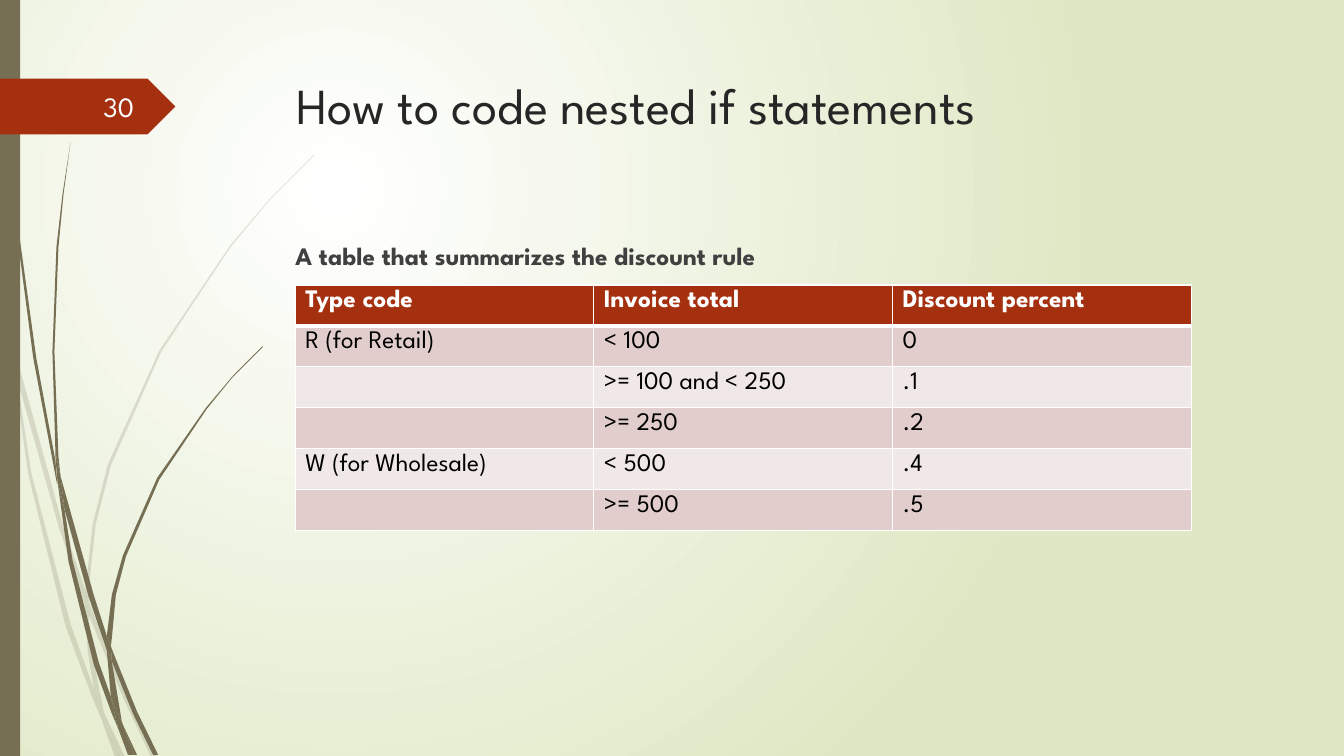
from lxml import etree
from pptx import Presentation
from pptx import util as u
from pptx.dml.color import RGBColor
from pptx.enum import shapes, text
from pptx.oxml.ns import qn

FONT = "League Spartan"
OLIVE, RUST, WHITE = "766F54", "A53010", "FFFFFF"
BANDS = ["E1CDCC", "F0E8E7"]
PAGE_W, PAGE_H = 33.87, 19.05

TITLE = "How to code nested if statements"
CAPTION = "A table that summarizes the discount rule"
PAGE_NUMBER = "30"
DISCOUNTS = [
    ("Type code", "Invoice total", "Discount percent"),
    ("R (for Retail)", "< 100", "0"),
    ("", ">= 100 and < 250", ".1"),
    ("", ">= 250", ".2"),
    ("W (for Wholesale)", "< 500", ".4"),
    ("", ">= 500", ".5"),
]

# Corners of the grass blade parts; one unit is UNIT centimetres
UNIT = 2.54
FAINT_GRASS = [
    [(.11, 3.5), (.09, 3.22), (0, 2.82), (0, 2.99), (.1, 3.44)],
    [(.58, 5.22), (.84, 5.99), (.85, 5.86), (.62, 5.2), (.14, 3.45), (.17, 3.76)],
    [(.92, 6.07), (.88, 5.96), (.88, 6.1), (1.23, 6.94), (1.5, 7.51), (1.55, 7.51),
     (1.27, 6.92)],
    [(1.19, 7.51), (1.24, 7.51), (1.05, 7.11)],
    [(.93, 6.83), (.7, 6.19), (.31, 4.69), (.17, 3.76), (.11, 3.5), (.28, 4.7),
     (.65, 6.21), (.92, 6.93), (1.01, 7.14), (.99, 7.07)],
    [(.84, 5.99), (.87, 6.46), (.93, 6.83), (.96, 6.92), (1.05, 7.11), (1.03, 7.06),
     (.91, 6.46), (.88, 6.1), (.88, 6.08)],
    [(.88, 5.84), (.95, 5.2), (1.1, 4.62), (1.6, 3.49), (2.29, 2.45), (2.68, 1.98),
     (3.12, 1.54), (3.12, 1.53), (2.68, 1.97), (2.28, 2.44), (1.58, 3.48),
     (1.07, 4.61), (.92, 5.2), (.85, 5.84), (.85, 5.86), (.88, 5.96)],
    [(1.01, 7.14), (1.14, 7.51), (1.19, 7.51)],
    [(.88, 6.08), (.88, 6.1), (.88, 5.96), (.85, 5.86), (.84, 5.99)],
    [(.96, 6.92), (.93, 6.83), (.99, 7.07), (1.01, 7.14), (1.19, 7.51), (1.05, 7.11)],
]
SOLID_GRASS = [
    [(.07, 1.1), (.17, 2.33), (.33, 3.55), (.56, 4.77), (.57, 4.81), (.55, 4.57),
     (.36, 3.55), (.19, 2.32), (.08, 1.09), (.04, 0), (.03, 0), (.04, .48)],
    [(.88, 5.92), (1.06, 6.45), (1.06, 6.31), (.93, 5.9), (.6, 4.72), (.64, 5.05)],
    [(1.13, 6.49), (1.1, 6.41), (1.11, 6.56), (1.32, 7.08), (1.52, 7.49), (1.57, 7.49),
     (1.36, 7.06)],
    [(1.1, 6.91), (.98, 6.57), (.72, 5.56), (.64, 5.05), (.57, 4.77), (.68, 5.57),
     (.93, 6.59), (1.11, 7.08), (1.17, 7.22), (1.16, 7.17)],
    [(.6, 4.72), (.58, 4.53), (.54, 3.49), (.58, 2.45), (.63, 1.93), (.7, 1.41),
     (.62, 1.93), (.56, 2.45), (.52, 3.49), (.55, 4.49)],
    [(1.33, 7.49), (1.36, 7.49), (1.22, 7.19)],
    [(.57, 4.77), (.64, 5.05), (.6, 4.72), (.55, 4.49), (.55, 4.53)],
    [(1.11, 6.33), (1.15, 5.9), (1.25, 5.52), (1.58, 4.76), (2.05, 4.06), (2.31, 3.74),
     (2.61, 3.44), (2.6, 3.44), (2.31, 3.73), (2.04, 4.05), (1.56, 4.74), (1.22, 5.51),
     (1.11, 5.9), (1.06, 6.31), (1.1, 6.41)],
    [(1.17, 7.22), (1.27, 7.49), (1.31, 7.49)],
    [(1.06, 6.45), (1.1, 6.91), (1.16, 7.06), (1.22, 7.19), (1.21, 7.16), (1.11, 6.56),
     (1.09, 6.51)],
    [(1.06, 6.45), (1.09, 6.51), (1.11, 6.56), (1.1, 6.41), (1.06, 6.31)],
    [(1.16, 7.06), (1.1, 6.91), (1.16, 7.17), (1.17, 7.22), (1.3, 7.49), (1.33, 7.49),
     (1.22, 7.19)],
]


def rgb(color):
    return RGBColor.from_string(color)


def style(paragraph, size, color, bold=False, align=text.PP_ALIGN.LEFT):
    paragraph.alignment = align
    paragraph.space_before = u.Pt(0)
    font = paragraph.font
    font.name, font.size, font.bold = FONT, u.Pt(size), bold
    font.color.rgb = rgb(color)


def place(shape, left, top, width, height):
    shape.left, shape.top = u.Cm(left), u.Cm(top)
    shape.width, shape.height = u.Cm(width), u.Cm(height)


def paint(shape, color, alpha=100):
    shape.shadow.inherit = False
    shape.line.fill.background()
    shape.fill.solid()
    shape.fill.fore_color.rgb = rgb(color)
    if alpha < 100:
        fill_color = shape._element.spPr.find(qn("a:solidFill"))[0]
        etree.SubElement(fill_color, qn("a:alpha"), val=str(alpha * 1000))


def draw_blade_part(slide, outline, alpha):
    corners = [(u.Cm(x * UNIT), u.Cm(y * UNIT)) for x, y in outline]
    builder = slide.shapes.build_freeform(*corners[0])
    builder.add_line_segments(corners[1:])
    paint(builder.convert_to_shape(), OLIVE, alpha)


def set_borders(cell, widths):
    """Draw white borders of the given points: left, right, top, bottom."""
    for side, width in zip("LRTB", widths):
        border = etree.SubElement(cell._tc.get_or_add_tcPr(), qn(f"a:ln{side}"),
                                  w=str(u.Pt(width)))
        fill = etree.SubElement(border, qn("a:solidFill"))
        etree.SubElement(fill, qn("a:srgbClr"), val=WHITE)


def set_background(slide):
    fill = slide.background.fill
    fill.gradient()
    for stop, color in zip(fill.gradient_stops, (WHITE, "DFE8C4")):
        stop.color.rgb = rgb(color)
    gradient = slide._element.xpath(".//p:bg//a:gradFill")[0]
    gradient.remove(gradient.find(qn("a:lin")))
    circle = etree.SubElement(gradient, qn("a:path"), path="circle")
    etree.SubElement(circle, qn("a:fillToRect"),
                     l="50000", t="50000", r="100000", b="100000")


def add_heading(slide):
    title, caption = slide.shapes.title, slide.placeholders[1]
    place(title, 7.21, 1.73, 24.77, 3.56)
    place(caption, 7.19, 5.92, 24.77, 10.49)
    for holder, words in ((title, TITLE), (caption, CAPTION)):
        frame = holder.text_frame
        frame.text = words
        frame.vertical_anchor = text.MSO_ANCHOR.TOP
        frame.auto_size = text.MSO_AUTO_SIZE.NONE
    properties = caption.text_frame.paragraphs[0]._p.get_or_add_pPr()
    properties.set("marL", "0")
    properties.set("indent", "0")
    etree.SubElement(properties, qn("a:buNone"))
    style(title.text_frame.paragraphs[0], 36, "262626")
    style(caption.text_frame.paragraphs[0], 18, "404040", bold=True)


def add_decoration(slide):
    for grass, alpha in ((FAINT_GRASS, 20), (SOLID_GRASS, 100)):
        for outline in grass:
            draw_blade_part(slide, outline, alpha)
    preset = shapes.MSO_SHAPE
    for kind, color, box in (
            (preset.RECTANGLE, OLIVE, (0, 0, 0.51, PAGE_H)),
            (preset.PENTAGON, RUST, (0, 1.98, 4.42, 1.41))):
        paint(slide.shapes.add_shape(kind, *map(u.Cm, box)), color)
    number = slide.shapes.add_textbox(*map(u.Cm, (1.47, 2.18, 2.16, 1.02)))
    frame = number.text_frame
    frame.word_wrap = True
    frame.vertical_anchor = text.MSO_ANCHOR.MIDDLE
    frame.text = PAGE_NUMBER
    style(frame.paragraphs[0], 20, "FEFFFF", align=text.PP_ALIGN.RIGHT)


def add_discounts(slide):
    table = slide.shapes.add_table(
        len(DISCOUNTS), len(DISCOUNTS[0]),
        *map(u.Cm, (7.44, 7.18, 22.58, 6.18))).table
    table.horz_banding = False
    for r, entries in enumerate(DISCOUNTS):
        header = r == 0
        for c, entry in enumerate(entries):
            cell = table.cell(r, c)
            cell.text = entry
            style(cell.text_frame.paragraphs[0], 18,
                  WHITE if header else "000000", bold=header)
            set_borders(cell, (1, 1, 3 if r == 1 else 1, 3 if header else 1))
            cell.fill.solid()
            cell.fill.fore_color.rgb = rgb(RUST if header else BANDS[(r - 1) % 2])


def main():
    deck = Presentation()
    deck.slide_width, deck.slide_height = u.Cm(PAGE_W), u.Cm(PAGE_H)
    slide = deck.slides.add_slide(deck.slide_layouts[1])
    set_background(slide)
    add_decoration(slide)
    add_heading(slide)
    add_discounts(slide)
    deck.save("out.pptx")


if __name__ == "__main__":
    main()
